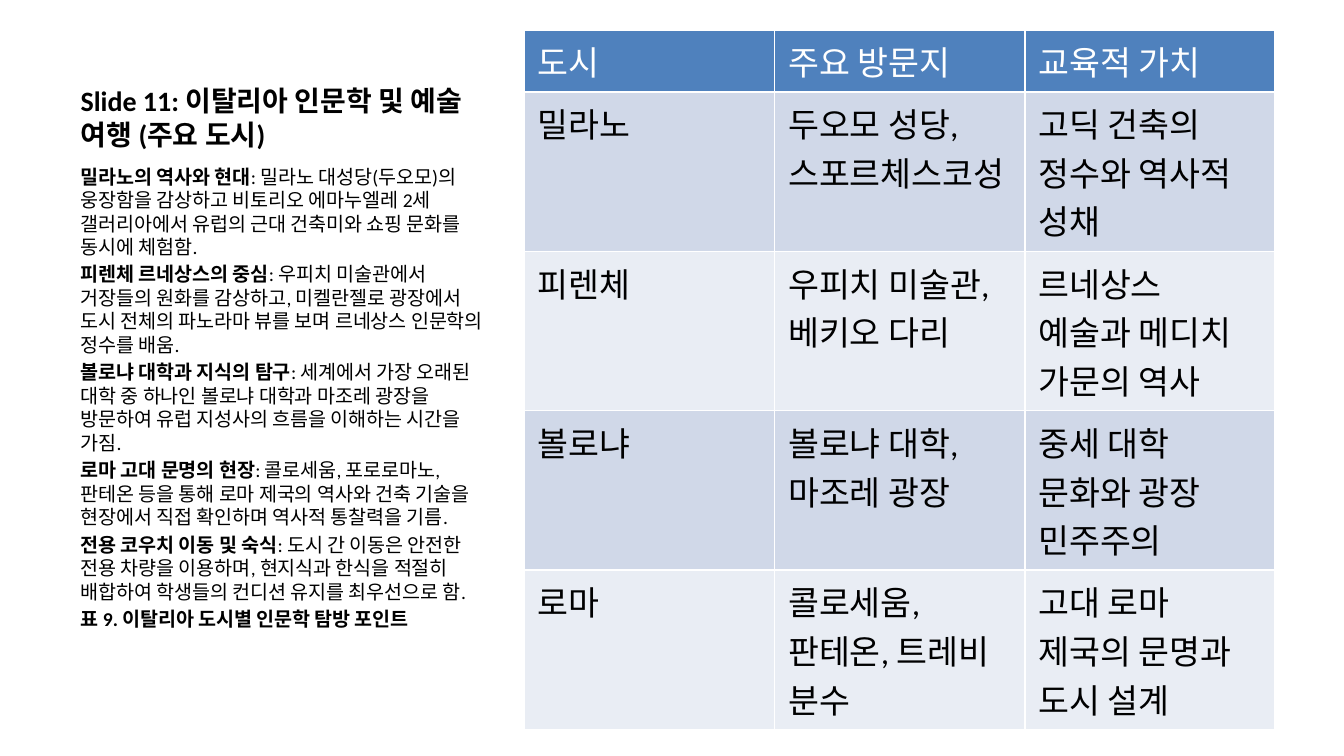
from typing import NamedTuple

from pptx import Presentation
from pptx.dml.color import RGBColor
from pptx.enum.text import MSO_ANCHOR, MSO_AUTO_SIZE
from pptx.util import Pt

BLACK = RGBColor(0x00, 0x00, 0x00)
WHITE = RGBColor(0xFF, 0xFF, 0xFF)
HEADER_BLUE = RGBColor(0x4F, 0x81, 0xBD)
BAND_COLORS = (RGBColor(0xD0, 0xD8, 0xE8), RGBColor(0xE9, 0xED, 0xF4))
FONT = "Calibri"

LEFT, TOP, TEXT_WIDTH = 36, 16, 237
TITLE_HEIGHT, BODY_HEIGHT = 68.5, 277
TABLE_LEFT, COLUMN_WIDTH = 281, 134
HEADER_HEIGHT, ROW_HEIGHT = 33, 85.4


class Point(NamedTuple):
    heading: str
    detail: str = ""


class City(NamedTuple):
    name: str
    sights: str
    value: str


TITLE = "Slide 11: 이탈리아 인문학 및 예술 여행 (주요 도시)"
POINTS = [
    Point("밀라노의 역사와 현대",
          ": 밀라노 대성당(두오모)의 웅장함을 감상하고 비토리오 에마누엘레 2세 "
          "갤러리아에서 유럽의 근대 건축미와 쇼핑 문화를 동시에 체험함."),
    Point("피렌체 르네상스의 중심",
          ": 우피치 미술관에서 거장들의 원화를 감상하고, 미켈란젤로 광장에서 "
          "도시 전체의 파노라마 뷰를 보며 르네상스 인문학의 정수를 배움."),
    Point("볼로냐 대학과 지식의 탐구",
          ": 세계에서 가장 오래된 대학 중 하나인 볼로냐 대학과 마조레 광장을 "
          "방문하여 유럽 지성사의 흐름을 이해하는 시간을 가짐."),
    Point("로마 고대 문명의 현장",
          ": 콜로세움, 포로로마노, 판테온 등을 통해 로마 제국의 역사와 건축 기술을 "
          "현장에서 직접 확인하며 역사적 통찰력을 기름."),
    Point("전용 코우치 이동 및 숙식",
          ": 도시 간 이동은 안전한 전용 차량을 이용하며, 현지식과 한식을 적절히 "
          "배합하여 학생들의 컨디션 유지를 최우선으로 함."),
    Point("표 9. 이탈리아 도시별 인문학 탐방 포인트"),
]
HEADER = City("도시", "주요 방문지", "교육적 가치")
CITIES = [
    City("밀라노", "두오모 성당, 스포르체스코성", "고딕 건축의 정수와 역사적 성채"),
    City("피렌체", "우피치 미술관, 베키오 다리", "르네상스 예술과 메디치 가문의 역사"),
    City("볼로냐", "볼로냐 대학, 마조레 광장", "중세 대학 문화와 광장 민주주의"),
    City("로마", "콜로세움, 판테온, 트레비 분수", "고대 로마 제국의 문명과 도시 설계"),
]


def style_span(span, size: float, color: RGBColor, bold: bool) -> None:
    span.font.name = FONT
    span.font.size = Pt(size)
    span.font.color.rgb = color
    span.font.bold = bold


def place(box, top: float, height: float) -> None:
    """Move a placeholder into the left text column and fix its text size."""
    box.left, box.top = Pt(LEFT), Pt(top)
    box.width, box.height = Pt(TEXT_WIDTH), Pt(height)
    box.text_frame.word_wrap = True
    box.text_frame.auto_size = MSO_AUTO_SIZE.NONE


def draw_title(box) -> None:
    place(box, TOP, TITLE_HEIGHT)
    box.text_frame.text = TITLE
    box.text_frame.vertical_anchor = MSO_ANCHOR.BOTTOM
    style_span(box.text_frame.paragraphs[0].runs[0], 15, BLACK, True)


def draw_points(box, points: list[Point]) -> None:
    place(box, TOP + TITLE_HEIGHT, BODY_HEIGHT)
    frame = box.text_frame
    frame.text = "\n".join(point.heading for point in points)
    for para, point in zip(frame.paragraphs, points):
        style_span(para.runs[0], 10.5, BLACK, True)
        if point.detail:
            span = para.add_run()
            span.text = point.detail
            style_span(span, 10.5, BLACK, False)


def draw_table(page, rows: list[City]) -> None:
    columns = len(HEADER)
    height = HEADER_HEIGHT + ROW_HEIGHT * (len(rows) - 1)
    table = page.shapes.add_table(
        len(rows), columns, Pt(TABLE_LEFT), Pt(TOP),
        Pt(COLUMN_WIDTH * columns), Pt(height)).table
    for column in table.columns:
        column.width = Pt(COLUMN_WIDTH)
    for index, row in enumerate(rows):
        is_header = index == 0
        table.rows[index].height = Pt(HEADER_HEIGHT if is_header else ROW_HEIGHT)
        fill = HEADER_BLUE if is_header else BAND_COLORS[(index - 1) % 2]
        for cell, text in zip(table.rows[index].cells, row):
            cell.text_frame.text = text
            cell.fill.solid()
            cell.fill.fore_color.rgb = fill
            style_span(cell.text_frame.paragraphs[0].runs[0], 18,
                       WHITE if is_header else BLACK, False)


def main() -> None:
    deck = Presentation()
    deck.slide_width, deck.slide_height = Pt(720), Pt(405)
    page = deck.slides.add_slide(deck.slide_layouts.get_by_name("Content with Caption"))
    boxes = {box.placeholder_format.idx: box for box in page.placeholders}
    draw_title(boxes[0])
    draw_points(boxes[2], POINTS)
    unused = boxes[1].element
    unused.getparent().remove(unused)
    draw_table(page, [HEADER, *CITIES])
    deck.save("out.pptx")


if __name__ == "__main__":
    main()
